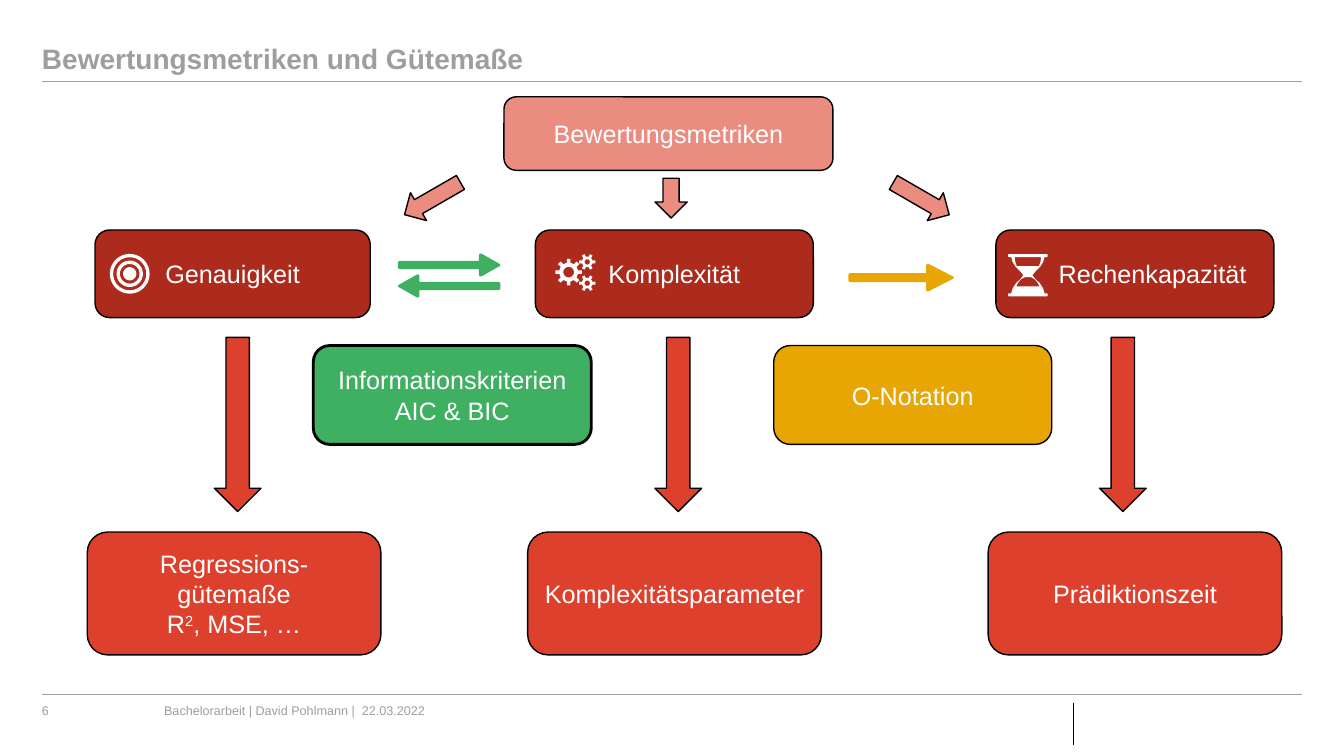
from dataclasses import dataclass
from math import cos, pi, sin

from pptx import Presentation
from pptx.dml.color import RGBColor
from pptx.enum.shapes import MSO_CONNECTOR, MSO_SHAPE
from pptx.enum.text import MSO_ANCHOR as ANCHOR, PP_ALIGN as ALIGN
from pptx.oxml.ns import qn
from pptx.util import Pt

COLORS = {"gray": "9D9EA0", "black": "000000", "white": "FFFFFF", "pink": "EB8C81",
          "red": "DD402D", "dark": "AC2B1C", "green": "3FAF62", "amber": "E7A603"}
Point = tuple[float, float]
Contour = list[Point]


@dataclass
class Run:
    text: str
    size: float = 18
    color: str = "white"
    bold: bool = False
    superscript: bool = False


@dataclass
class Box:
    paragraphs: list[list[Run]]
    x: float
    y: float
    w: float
    h: float
    fill: str
    line: float = 1
    left: float = 7.2
    right: float = 7.2


@dataclass
class Arrow:
    x: float
    y: float
    w: float
    h: float
    fill: str
    rotation: float = 0


@dataclass
class Label:
    run: Run
    x: float
    y: float
    w: float
    h: float
    anchor: ANCHOR = ANCHOR.TOP
    spacing: float = 1


@dataclass
class Rule:
    x1: float
    y1: float
    x2: float
    y2: float
    color: str
    width: float


@dataclass
class Icon:
    contours: list[Contour]
    fill: str


def rgb(name: str) -> RGBColor:
    return RGBColor.from_string(COLORS[name])


def paint(sp, fill: str, line: float) -> None:
    sp.shadow.inherit = False
    sp.fill.solid()
    sp.fill.fore_color.rgb = rgb(fill)
    if line:
        sp.line.color.rgb = rgb("black")
        sp.line.width = Pt(line)
    else:
        sp.line.fill.background()


def add_run(p, run: Run) -> None:
    r = p.add_run()
    r.text = run.text
    r.font.name, r.font.size, r.font.bold = "Arial", Pt(run.size), run.bold
    r.font.color.rgb = rgb(run.color)
    if run.superscript:
        r.font._element.set("baseline", "30000")


def draw_box(s, box: Box) -> None:
    sp = s.shapes.add_shape(MSO_SHAPE.ROUNDED_RECTANGLE, Pt(box.x), Pt(box.y), Pt(box.w), Pt(box.h))
    paint(sp, box.fill, box.line)
    tf = sp.text_frame
    tf.word_wrap, tf.vertical_anchor = True, ANCHOR.MIDDLE
    tf.margin_left, tf.margin_right = Pt(box.left), Pt(box.right)
    for i, runs in enumerate(box.paragraphs):
        p = tf.add_paragraph() if i else tf.paragraphs[0]
        p.alignment = ALIGN.CENTER
        for run in runs:
            add_run(p, run)


def draw_arrow(s, arrow: Arrow) -> None:
    sp = s.shapes.add_shape(MSO_SHAPE.DOWN_ARROW, Pt(arrow.x), Pt(arrow.y), Pt(arrow.w), Pt(arrow.h))
    sp.rotation = arrow.rotation
    paint(sp, arrow.fill, 1)


def draw_label(s, label: Label) -> None:
    tf = s.shapes.add_textbox(Pt(label.x), Pt(label.y), Pt(label.w), Pt(label.h)).text_frame
    tf.word_wrap, tf.vertical_anchor = True, label.anchor
    tf.margin_left = tf.margin_right = tf.margin_top = tf.margin_bottom = 0
    p = tf.paragraphs[0]
    p.line_spacing = label.spacing
    add_run(p, label.run)


def draw_rule(s, rule: Rule) -> None:
    line = s.shapes.add_connector(MSO_CONNECTOR.STRAIGHT, Pt(rule.x1), Pt(rule.y1), Pt(rule.x2), Pt(rule.y2))
    line.line.color.rgb = rgb(rule.color)
    line.line.width = Pt(rule.width)
    sp_pr = line._element.spPr
    sp_pr.append(sp_pr.makeelement(qn("a:effectLst"), {}))


def draw_icon(s, icon: Icon) -> None:
    builder = None
    for contour in icon.contours:
        pts = [(Pt(x), Pt(y)) for x, y in contour]
        if builder is None:
            builder = s.shapes.build_freeform(*pts[0])
        else:
            builder.move_to(*pts[0])
        builder.add_line_segments(pts[1:], close=True)
    paint(builder.convert_to_shape(), icon.fill, 0)


def polar(cx: float, cy: float, radius: float, angle: float) -> Point:
    return cx + radius * cos(angle), cy + radius * sin(angle)


def circle(cx: float, cy: float, radius: float) -> Contour:
    return [polar(cx, cy, radius, 2 * pi * i / 48) for i in range(48)]


def gear(cx: float, cy: float, tip: float, root: float, hole: float, teeth: int) -> list[Contour]:
    step = 2 * pi / teeth
    profile = [(root, -0.24), (tip, -0.17), (tip, 0.17), (root, 0.24)]
    outline = [polar(cx, cy, radius, (i + share) * step) for i in range(teeth) for radius, share in profile]
    return [outline, circle(cx, cy, hole)]


def block_arrow(tail: float, tip: float, y: float, head: float, half: float, shaft: float) -> Contour:
    d = 1 if tip > tail else -1
    neck = tip - d * head
    upper = [(tail, 0.7 * shaft), (tail + d, shaft), (neck, shaft), (neck, half - 1),
             (neck + 0.7 * d, half), (neck + 2 * d, half - 0.3), (tip - 0.4 * d, 0.7)]
    return [(x, y - dy) for x, dy in upper] + [(tip, y)] + [(x, y + dy) for x, dy in reversed(upper)]


def mirrored(cx: float, cy: float, right: list[Point]) -> Contour:
    return [(cx + x, cy + y) for x, y in right] + [(cx - x, cy + y) for x, y in reversed(right)]


def hourglass(cx: float, cy: float) -> list[Contour]:
    lower = [(5.2, 2.5), (8.6, 5.8), (10.9, 9.5), (11.9, 13), (13.7, 13), (14.1, 13.5), (14.1, 14.7), (13.7, 15.1)]
    glass = [(x, -y) for x, y in reversed(lower)] + [(5.2, -2.5), (3.2, 0)] + lower
    upper_hole = [(9.4, -13), (9, -9.5), (7.9, -6.5)]
    lower_hole = [(2.2, 1.4), (4.5, 2.6), (6.8, 5), (8.3, 8)]
    return [mirrored(cx, cy, side) for side in (glass, upper_hole, lower_hole)]


RULES = [Rule(30, 58.3, 930, 58.3, "gray", 0.5), Rule(30, 496, 930, 496, "gray", 0.5),
         Rule(766.8, 501.8, 766.8, 532, "black", 0.75)]
LABELS = [
    Label(Run("Bewertungsmetriken und Gütemaße", 20, "gray", True), 30, 11.5, 900, 42.5, ANCHOR.BOTTOM, 0.9),
    Label(Run("6", 9, "gray"), 30, 501.8, 69, 11),
    Label(Run("Bachelorarbeit | David Pohlmann |  22.03.2022", 9, "gray"), 117.2, 501.8, 284, 34),
]
BOXES = [
    Box([[Run("Bewertungsmetriken")]], 360, 69.2, 235, 52.5, "pink"),
    Box([[Run("Genauigkeit")]], 67.9, 164.3, 196.6, 62.6, "dark"),
    Box([[Run("Komplexität")]], 382.4, 164.3, 198.6, 62.6, "dark"),
    Box([[Run("Rechenkapazität")]], 711.4, 164.3, 198.6, 62.6, "dark", left=32.2),
    Box([[Run("Informationskriterien AIC & BIC")]], 223.8, 246.8, 198.6, 70.6, "green", 2),
    Box([[Run("O-Notation")]], 552.7, 246.8, 198.6, 70.6, "amber"),
    Box([[Run("Regressions-gütemaße")], [Run("R"), Run("2", superscript=True), Run(", MSE, …")]],
        62.3, 380, 209.8, 87.8, "red", left=10, right=10),
    Box([[Run("Komplexitätsparameter")]], 376.9, 380, 209.8, 87.8, "red", left=6, right=6),
    Box([[Run("Prädiktionszeit")]], 705.8, 380, 209.8, 87.8, "red"),
]
ARROWS = [Arrow(297.4, 118.8, 23, 46.1, "pink", 60), Arrow(467.9, 127.4, 23, 28.4, "pink"),
          Arrow(646.6, 118.8, 23, 46.1, "pink", 300)]
ARROWS += [Arrow(x, 241, 33.4, 124.4, "red") for x in (153.1, 467.8, 785.4)]
ICONS = [
    Icon([block_arrow(284.3, 357.5, 189.3, 15.3, 8.3, 2.9),
          block_arrow(357.5, 284.3, 204.3, 15.3, 8.3, 2.9)], "green"),
    Icon([block_arrow(606, 681.4, 198.3, 19.8, 9.9, 3.2)], "amber"),
    Icon([circle(92.7, 195.6, radius) for radius in (14.2, 11.8, 9.4, 7, 4.7)], "white"),
    Icon(gear(406.2, 194.4, 9.5, 6.8, 3.8, 8) + gear(419.5, 187.1, 5.9, 3.9, 1.9, 6)
         + gear(419.5, 202.3, 5.9, 3.9, 1.9, 6), "white"),
    Icon(hourglass(734.2, 196.6), "white"),
]


def main() -> None:
    prs = Presentation()
    prs.slide_width, prs.slide_height = Pt(960), Pt(540)
    s = prs.slides.add_slide(prs.slide_layouts[6])
    for items, draw in ((RULES, draw_rule), (LABELS, draw_label), (BOXES, draw_box),
                        (ARROWS, draw_arrow), (ICONS, draw_icon)):
        for item in items:
            draw(s, item)
    prs.save("out.pptx")


if __name__ == "__main__":
    main()
